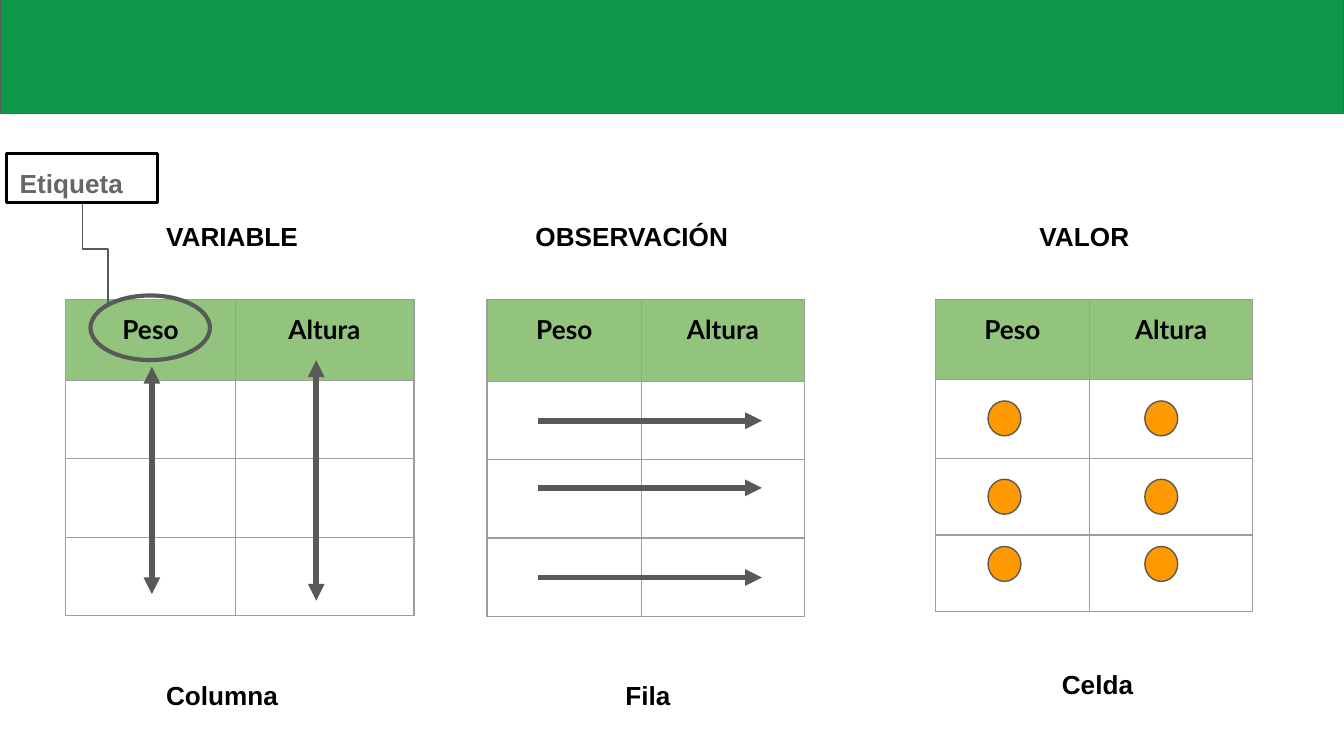
from dataclasses import dataclass
from itertools import product

from lxml.etree import SubElement
from pptx import Presentation
from pptx.dml.color import RGBColor
from pptx.enum.shapes import MSO_CONNECTOR as Connector, MSO_SHAPE as Preset
from pptx.enum.text import MSO_ANCHOR as Anchor, PP_ALIGN as Align
from pptx.oxml.ns import qn
from pptx.util import Pt

GREEN, HEADER, ORANGE = "10984A", "93C47D", "FF9900"
GREY, BORDER, BLACK, LABEL = "595959", "9E9E9E", "000000", "666666"
INSET = 7.2


@dataclass(frozen=True)
class Grid:
    left: float
    columns: tuple[float, ...]
    rows: tuple[float, ...]


@dataclass(frozen=True)
class Caption:
    text: str
    left: float
    top: float
    width: float


@dataclass(frozen=True)
class Arrow:
    start: tuple[float, float]
    end: tuple[float, float]
    double: bool = False


GRIDS = [
    Grid(35.3, (90.7, 95.8), (43.2, 42, 42, 41.8)),
    Grid(260.9, (82.8, 87.2), (43.7, 42, 42, 42)),
    Grid(501, (82.8, 87.2), (42.5, 42.5, 41, 41)),
]
CAPTIONS = [
    Caption("VARIABLE", 81.9, 111, 94.3),
    Caption("OBSERVACIÓN", 279.8, 111, 122),
    Caption("VALOR", 549.8, 111, 81.4),
    Caption("Columna", 81.9, 357, 94.3),
    Caption("Fila", 327.9, 357, 46),
    Caption("Celda", 561.8, 351, 81.4),
]
ARROWS = [
    Arrow((81.4, 196.5), (81.4, 318.3), True),
    Arrow((169.4, 193), (169.4, 321.8), True),
] + [Arrow((288.2, y), (408.2, y)) for y in (225.4, 261.4, 309.4)]


def color(value: str) -> RGBColor:
    return RGBColor.from_string(value)


def set_text(holder, text: str, font: str, value: str, align=Align.LEFT) -> None:
    frame = holder.text_frame
    frame.text = text
    para = frame.paragraphs[0]
    para.alignment = align
    para.font.name = font
    para.font.size = Pt(14)
    para.font.bold = True
    para.font.color.rgb = color(value)


def set_insets(frame) -> None:
    frame.word_wrap = True
    frame.vertical_anchor = Anchor.TOP
    frame.margin_left = frame.margin_right = Pt(INSET)
    frame.margin_top = frame.margin_bottom = Pt(INSET)


def add_shape(page, preset, area: tuple, fill: str | None, line: str, weight: float):
    shape = page.shapes.add_shape(preset, *map(Pt, area))
    shape.shadow.inherit = False
    if fill:
        shape.fill.solid()
        shape.fill.fore_color.rgb = color(fill)
    else:
        shape.fill.background()
    shape.line.color.rgb = color(line)
    shape.line.width = Pt(weight)
    return shape


def add_line(page, kind, start: tuple, end: tuple, weight: float):
    line = page.shapes.add_connector(kind, *map(Pt, start + end))
    line.line.color.rgb = color(GREY)
    line.line.width = Pt(weight)
    SubElement(line._element.spPr, qn("a:effectLst"))
    return line


def add_arrow(page, arrow: Arrow) -> None:
    line = add_line(page, Connector.STRAIGHT, arrow.start, arrow.end, 3)
    outline = line.line._get_or_add_ln()
    for tag in ("a:headEnd", "a:tailEnd") if arrow.double else ("a:tailEnd",):
        SubElement(outline, qn(tag), type="triangle", w="med", len="med")


def add_elbow(page) -> None:
    elbow = add_line(page, Connector.ELBOW, (78.4, 129), (23.8, 142.6), 0.75)
    properties = elbow._element.spPr
    properties.find(qn("a:xfrm")).set("rot", "5400000")
    adjustments = properties.find(qn("a:prstGeom")).find(qn("a:avLst"))
    SubElement(adjustments, qn("a:gd"), name="adj1", fmla="val 54600")


def set_borders(cell) -> None:
    properties = cell._tc.get_or_add_tcPr()
    for index, side in enumerate("LRTB"):
        border = SubElement(properties, qn(f"a:ln{side}"), w=str(Pt(0.75)))
        fill = SubElement(border, qn("a:solidFill"))
        SubElement(fill, qn("a:srgbClr"), val=BORDER)
        properties.insert(index, border)


def add_grid(page, grid: Grid) -> None:
    area = (grid.left, 160.6, sum(grid.columns), sum(grid.rows))
    frame = page.shapes.add_table(len(grid.rows), len(grid.columns), *map(Pt, area))
    table = frame.table
    table.first_row = table.horz_banding = False
    for column, width in zip(table.columns, grid.columns):
        column.width = Pt(width)
    for row, height in zip(table.rows, grid.rows):
        row.height = Pt(height)
    for cell in table.iter_cells():
        cell.margin_left = cell.margin_right = Pt(INSET)
        cell.margin_top = cell.margin_bottom = Pt(INSET)
        cell.fill.background()
        set_borders(cell)
    for cell, text in zip(table.rows[0].cells, ("Peso", "Altura")):
        cell.fill.solid()
        cell.fill.fore_color.rgb = color(HEADER)
        set_text(cell, text, "Lato", BLACK, Align.CENTER)


def add_caption(page, caption: Caption) -> None:
    area = (caption.left, caption.top, caption.width, 18.7)
    box = page.shapes.add_textbox(*map(Pt, area))
    set_insets(box.text_frame)
    set_text(box, caption.text, "Arial", BLACK)


def main() -> None:
    deck = Presentation()
    deck.slide_width, deck.slide_height = Pt(720), Pt(405)
    page = deck.slides.add_slide(deck.slide_layouts[6])
    for grid in GRIDS:
        add_grid(page, grid)
    for arrow in ARROWS:
        add_arrow(page, arrow)
    for top, left in product((214.8, 256.8, 292.8), (529.3, 613.3)):
        add_shape(page, Preset.OVAL, (left, top, 17.6, 18.7), ORANGE, GREY, 0.75)
    for caption in CAPTIONS:
        add_caption(page, caption)
    add_shape(page, Preset.RECTANGLE, (0, -4.3, 720, 65), GREEN, GREY, 0.75)
    add_shape(page, Preset.OVAL, (48.5, 158.3, 64, 34.6), None, GREY, 2.25)
    add_elbow(page)
    label = add_shape(page, Preset.RECTANGLE, (3.5, 82.3, 81, 26.2), None, BLACK, 1.5)
    set_insets(label.text_frame)
    set_text(label, "Etiqueta", "Arial", LABEL)
    deck.save("out.pptx")


if __name__ == "__main__":
    main()
